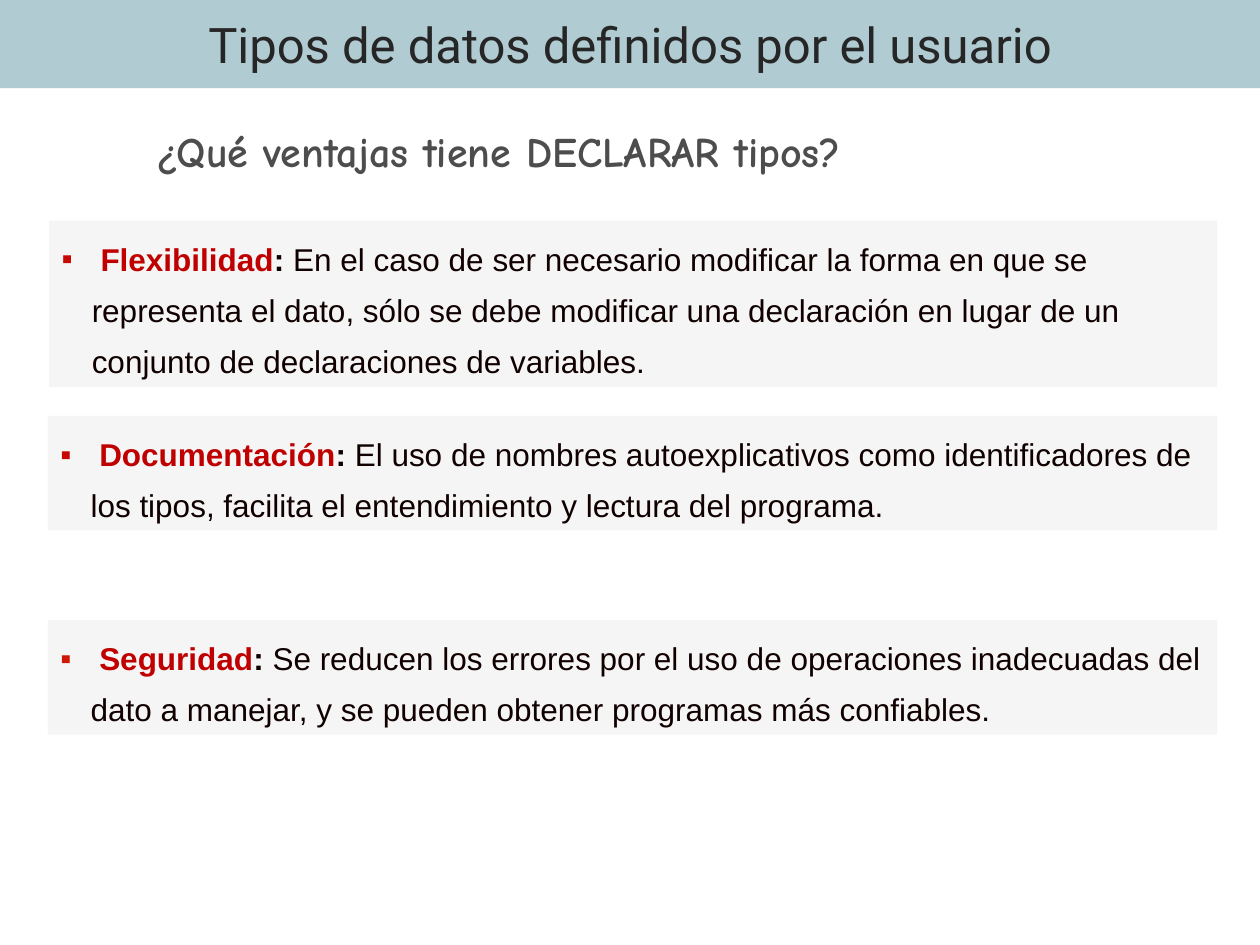
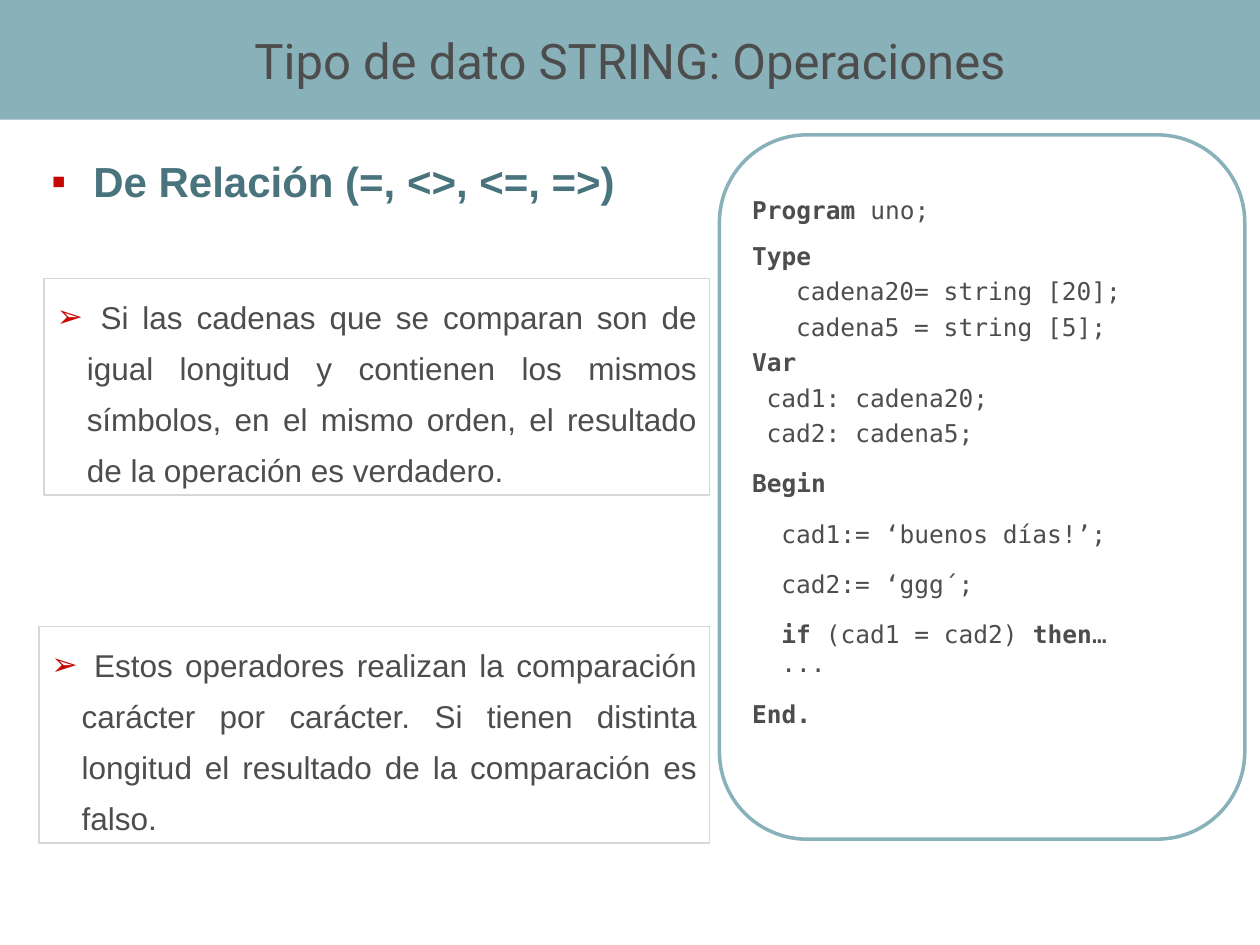
from lxml.etree import SubElement
from pptx import Presentation
from pptx.dml.color import RGBColor
from pptx.enum.shapes import MSO_SHAPE
from pptx.enum.text import MSO_ANCHOR, PP_ALIGN
from pptx.oxml.ns import qn
from pptx.util import Inches, Pt

# Shared colours, fonts and grid
PALE_TEAL = RGBColor(0xB0, 0xCB, 0xD1)
TEAL = RGBColor(0x89, 0xB1, 0xBA)
DARK_TEAL = RGBColor(0x49, 0x74, 0x7D)
PALE_GREY = RGBColor(0xF5, 0xF5, 0xF5)
LINE_GREY = RGBColor(0xD7, 0xD7, 0xD7)
GREY = RGBColor(0x4D, 0x4D, 0x4D)
CHARCOAL = RGBColor(0x26, 0x26, 0x26)
BLACK = RGBColor(0x10, 0x00, 0x00)
RED = RGBColor(0xC0, 0x00, 0x00)
BULLET_RED = RGBColor(0xC6, 0x07, 0x02)
BULLET_ORANGE = RGBColor(0xCD, 0x18, 0x05)

TITLE_FONT, BODY_FONT = "Roboto", "Arial"
QUESTION_FONT, CODE_FONT = "Comic Neue", "DejaVu Sans Mono"
TITLE_SIZE, HEADING_SIZE, BODY_SIZE, CODE_SIZE = 28, 24, 18, 14
BULLET_INDENT = Inches(0.24)
CODE_CHARACTER = Pt(CODE_SIZE * 0.6)

presentation = Presentation()
presentation.slide_width, presentation.slide_height = Inches(10), Inches(7.5)
COLUMN = presentation.slide_width / 100
ROW = presentation.slide_height / 75


def add_box(slide, column, row, columns, rows, fill=None, line=None,
            line_width=0.75, kind=MSO_SHAPE.RECTANGLE, anchor=MSO_ANCHOR.TOP):
    """Place a shape by grid columns and rows."""
    shape = slide.shapes.add_shape(kind, int(column * COLUMN), int(row * ROW),
                                   int(columns * COLUMN), int(rows * ROW))
    shape.shadow.inherit = False
    if fill is None:
        shape.fill.background()
    else:
        shape.fill.solid()
        shape.fill.fore_color.rgb = fill
    if line is None:
        shape.line.fill.background()
    else:
        shape.line.color.rgb = line
        shape.line.width = Pt(line_width)
    shape.text_frame.word_wrap = True
    shape.text_frame.vertical_anchor = anchor
    return shape


def write_paragraph(paragraph, runs, font, size, align=PP_ALIGN.JUSTIFY, spacing=1.0,
                    before=0, bullet=None, bullet_color=BULLET_RED, indent=0):
    """Fill a paragraph from (text, colour, bold) runs."""
    paragraph.alignment = align
    paragraph.line_spacing = spacing
    paragraph.space_before = Pt(before)
    properties = paragraph._p.get_or_add_pPr()
    if bullet:
        properties.set("marL", str(BULLET_INDENT))
        properties.set("indent", str(-BULLET_INDENT))
        color = SubElement(properties, qn("a:buClr"))
        SubElement(color, qn("a:srgbClr"), val=str(bullet_color))
        SubElement(properties, qn("a:buFont"), typeface=BODY_FONT)
        SubElement(properties, qn("a:buChar"), char=bullet)
    elif indent:
        properties.set("marL", str(int(indent)))
        properties.set("indent", "0")
    for text, color, bold in runs:
        run = paragraph.add_run()
        run.text = text
        run.font.name = font
        run.font.size = Pt(size)
        run.font.bold = bold
        run.font.color.rgb = color


# Slides with their title bands
bands = [
    ("Tipos de datos definidos por el usuario", -0.1, 7.1, PALE_TEAL, CHARCOAL),
    ("Tipo de dato STRING: Operaciones", 0, 9.5, TEAL, GREY),
]
slides = []
for title, row, rows, fill, color in bands:
    slide = presentation.slides.add_slide(presentation.slide_layouts[6])
    band = add_box(slide, 0, row, 100, rows, fill, anchor=MSO_ANCHOR.MIDDLE)
    write_paragraph(band.text_frame.paragraphs[0], [(title, color, False)],
                    TITLE_FONT, TITLE_SIZE, PP_ALIGN.CENTER)
    slides.append(slide)
advantages_slide, string_slide = slides

# Advantages: question
question = add_box(advantages_slide, 11.4, 9.5, 78.3, 5)
write_paragraph(question.text_frame.paragraphs[0],
                [("¿Qué ventajas tiene DECLARAR tipos?", GREY, True)],
                QUESTION_FONT, HEADING_SIZE, before=6)

# Advantages: one panel each
advantages = [
    (3.9, 17.5, 13.2, BULLET_RED, "Flexibilidad",
     "En el caso de ser necesario modificar la forma en que se representa el dato, sólo se "
     "debe modificar una declaración en lugar de un conjunto de declaraciones de variables."),
    (3.8, 33, 9.1, BULLET_RED, "Documentación",
     "El uso de nombres autoexplicativos como identificadores de los tipos, "
     "facilita el entendimiento y lectura del programa."),
    (3.8, 49.2, 9.1, BULLET_ORANGE, "Seguridad",
     "Se reducen los errores por el uso de operaciones inadecuadas del dato a manejar, "
     "y se pueden obtener programas más confiables."),
]
for column, row, rows, bullet_color, name, explanation in advantages:
    panel = add_box(advantages_slide, column, row, 96.6 - column, rows, PALE_GREY)
    runs = [(" ", BLACK, True), (name, RED, True), (": ", BLACK, True),
            (explanation, BLACK, False)]
    write_paragraph(panel.text_frame.paragraphs[0], runs, BODY_FONT, BODY_SIZE,
                    PP_ALIGN.LEFT, 1.35, 4.5, "▪", bullet_color)

# String operations: heading
heading = add_box(string_slide, 3.1, 12.3, 49, 9.1)
write_paragraph(heading.text_frame.paragraphs[0],
                [(" De Relación (=, <>, <=, =>)", DARK_TEAL, True)],
                BODY_FONT, HEADING_SIZE, spacing=0.9, before=6, bullet="▪")

# String operations: comparison rules
comparison_rules = [
    (3.5, 22.1, " Si las cadenas que se comparan son de igual longitud y contienen los mismos "
     "símbolos, en el mismo orden, el resultado de la operación es verdadero."),
    (3.1, 49.7, " Estos operadores realizan la comparación carácter por carácter. "
     "Si tienen distinta longitud el resultado de la comparación es falso."),
]
for column, row, text in comparison_rules:
    panel = add_box(string_slide, column, row, 56.3 - column, 17.2, line=LINE_GREY)
    write_paragraph(panel.text_frame.paragraphs[0], [(text, GREY, False)],
                    BODY_FONT, BODY_SIZE, spacing=1.35, before=4.5, bullet="➢")

# String operations: sample program, as (indent, line spacing, space before, runs)
add_box(string_slide, 57.1, 10.7, 41.7, 55.9, line=TEAL, line_width=2,
        kind=MSO_SHAPE.ROUNDED_RECTANGLE)
code_box = add_box(string_slide, 58.7, 13.8, 37.8, 44.5)
program = [
    (0, 1.5, 3.5, [("Program", True), (" uno;", False)]),
    (0, 1.35, 3.5, [("Type", True)]),
    (3, 1, 3.5, [("cadena20= string [20];", False)]),
    (3, 1, 3.5, [("cadena5 = string [5];", False)]),
    (0, 1, 3.5, [("Var", True)]),
    (1, 1, 3.5, [("cad1: cadena20;", False)]),
    (1, 1, 3.5, [("cad2: cadena5;", False)]),
    (0, 1.5, 3.5, [("Begin", True)]),
    (2, 1.5, 3.5, [("cad1:= ‘buenos días!’;", False)]),
    (2, 1.5, 3.5, [("cad2:= ‘ggg´;", False)]),
    (2, 1.5, 3.5, [("if", True), (" (cad1 = cad2) ", False), ("then", True), ("…", False)]),
    (2, 1, 0, [("...", False)]),
    (0, 1.5, 3.5, [("End.", True)]),
]
for number, (indent, spacing, before, pieces) in enumerate(program):
    frame = code_box.text_frame
    paragraph = frame.add_paragraph() if number else frame.paragraphs[0]
    write_paragraph(paragraph, [(text, GREY, bold) for text, bold in pieces],
                    CODE_FONT, CODE_SIZE, spacing=spacing, before=before,
                    indent=indent * CODE_CHARACTER)

presentation.save("out.pptx")
